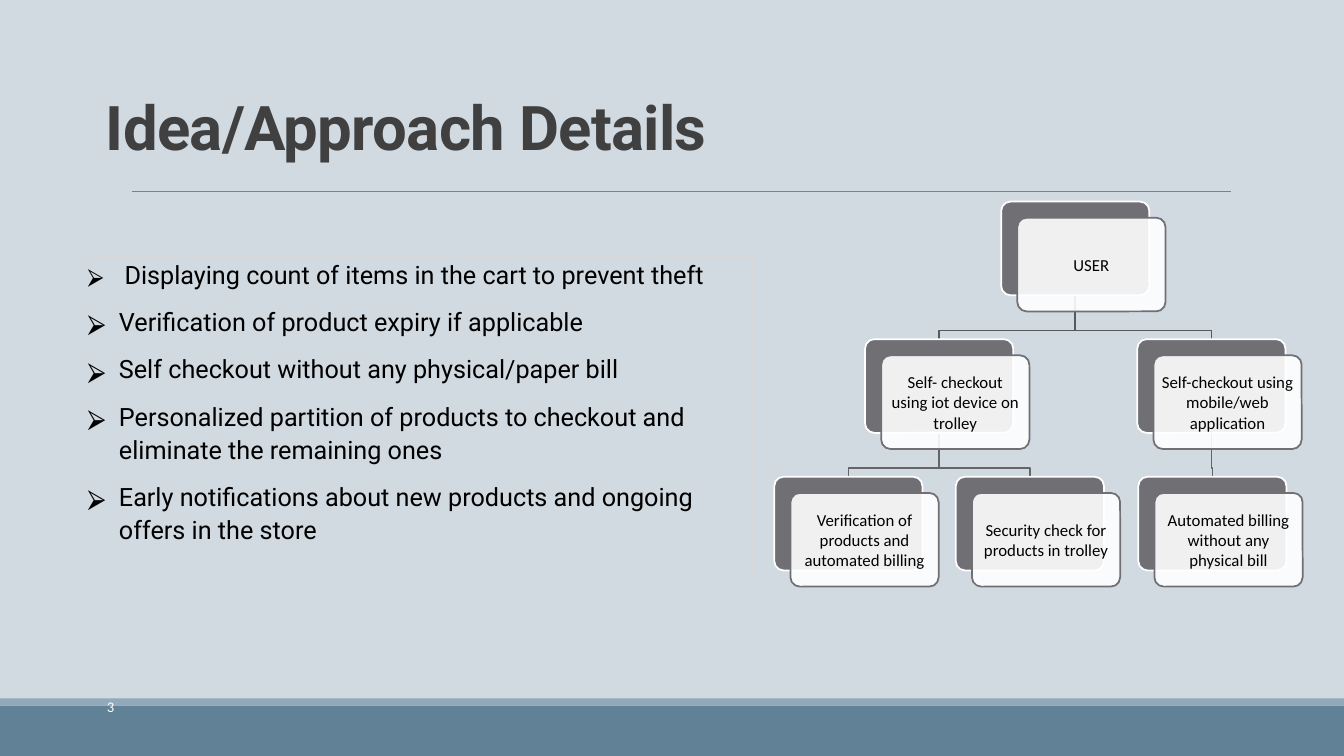
from dataclasses import dataclass

from lxml.etree import SubElement
from pptx import Presentation
from pptx.dml.color import RGBColor
from pptx.enum.shapes import MSO_CONNECTOR as Connector, MSO_SHAPE as Shape
from pptx.enum.text import MSO_ANCHOR as Anchor, MSO_AUTO_SIZE as AutoSize, PP_ALIGN as Align
from pptx.oxml.ns import qn
from pptx.util import Inches, Pt


@dataclass(frozen=True)
class Theme:
    background: str = "D1D9E1"
    band: str = "618197"
    band_edge: str = "92A9B9"
    rule: str = "808080"
    title: str = "404040"
    text: str = "000000"
    white: str = "FFFFFF"
    list_border: str = "D9D9D9"
    card: str = "6F6F74"
    upper_link: str = "59595D"
    lower_link: str = "656569"
    heading_font: str = "Roboto"
    card_font: str = "Calibri"
    title_size: float = 44
    list_size: float = 18
    indent_size: float = 16
    card_size: float = 12
    number_size: float = 10.5


@dataclass(frozen=True)
class Card:
    label: str
    left: float
    tier: int
    children: tuple = ()


THEME = Theme()
CARD_WIDTH, CARD_HEIGHT = 1.47, 0.93
CARD_OFFSET = 0.16
FIRST_TIER, TIER_STEP = 2, 1.365
LINK_DROP = 0.35

POINTS = (
    "Displaying count of items in the cart to prevent theft",
    "Verification of product expiry if applicable",
    "Self checkout without any physical/paper bill",
    "Personalized partition of products to checkout and eliminate the remaining ones",
    "Early notifications about new products and ongoing offers in the store",
)

USER = Card("USER", 9.93, 0, (
    Card("Self- checkout using iot device on trolley", 8.58, 1, (
        Card("Verification of products and automated billing", 7.68, 2),
        Card("Security check for products in trolley", 9.48, 2),
    )),
    Card("Self-checkout using mobile/web application", 11.28, 1, (
        Card("Automated billing without any physical bill", 11.29, 2),
    )),
))


def rgb(color):
    return RGBColor.from_string(color)


def place(shape, left, top, width, height):
    shape.left, shape.top = Inches(left), Inches(top)
    shape.width, shape.height = Inches(width), Inches(height)


def set_font(font, name, size, color, bold=False):
    font.name, font.size, font.bold = name, Pt(size), bold
    font.color.rgb = rgb(color)


def set_frame(frame, inset=0, anchor=Anchor.TOP):
    frame.word_wrap = True
    frame.auto_size = AutoSize.NONE
    frame.vertical_anchor = anchor
    frame.margin_left = frame.margin_right = Inches(inset)
    frame.margin_top = frame.margin_bottom = Inches(inset)


def set_line(line, color, width):
    line.color.rgb = rgb(color)
    line.width = Pt(width)


def add_box(shapes, kind, bounds, fill, border=None):
    box = shapes.add_shape(kind, *map(Inches, bounds))
    box.shadow.inherit = False
    box.fill.solid()
    box.fill.fore_color.rgb = rgb(fill)
    if border:
        set_line(box.line, border, 1.25)
    else:
        box.line.fill.background()
    return box


def add_rule(shapes):
    rule = shapes.add_connector(
        Connector.STRAIGHT, Inches(1.31), Inches(1.9), Inches(12.21), Inches(1.9))
    set_line(rule.line, THEME.rule, 0.5)
    SubElement(rule._element.spPr, qn("a:effectLst"))


def fill_title(title):
    place(title, 1.05, 0.96, 6.05, 0.67)
    title.text = "Idea/Approach Details"
    set_frame(title.text_frame, anchor=Anchor.BOTTOM)
    heading = title.text_frame.paragraphs[0]
    heading.alignment = Align.LEFT
    heading.line_spacing = 0.9
    set_font(heading.font, THEME.heading_font, THEME.title_size, THEME.title, True)
    heading.runs[0].font._element.set("spc", "-50")


def add_bullet(paragraph):
    properties = paragraph._p.get_or_add_pPr()
    properties.set("marL", str(Inches(0.31)))
    properties.set("indent", str(Inches(-0.31)))
    color = SubElement(properties, qn("a:buClr"))
    SubElement(color, qn("a:srgbClr"), val=THEME.text)
    SubElement(properties, qn("a:buFont"), typeface="Noto Sans Symbols")
    SubElement(properties, qn("a:buChar"), char="⮚")


def fill_points(body):
    place(body, 0.87, 2.54, 6.59, 3.15)
    set_line(body.line, THEME.list_border, 0.75)
    frame = body.text_frame
    set_frame(frame)
    for index, point in enumerate(POINTS):
        paragraph = frame.add_paragraph() if index else frame.paragraphs[0]
        paragraph.line_spacing = 1.1
        paragraph.space_before = Pt(10)
        add_bullet(paragraph)
        if index == 0:
            lead = paragraph.add_run()
            lead.text = " "
            set_font(lead.font, THEME.heading_font, THEME.indent_size, THEME.text, True)
        run = paragraph.add_run()
        run.text = point
        set_font(run.font, THEME.heading_font, THEME.list_size, THEME.text)


def add_page_number(shapes):
    number = shapes.add_textbox(*map(Inches, (1.06, 6.92, 0.57, 0.27)))
    set_frame(number.text_frame)
    paragraph = number.text_frame.paragraphs[0]
    paragraph.text = "3"
    set_font(paragraph.font, THEME.card_font, THEME.number_size, THEME.white)


def card_top(card):
    return FIRST_TIER + card.tier * TIER_STEP


def add_links(shapes, parent):
    start_x = parent.left + CARD_WIDTH / 2
    start_y = card_top(parent) + CARD_HEIGHT
    bend_y = start_y + LINK_DROP
    for child in parent.children:
        end_x = child.left + CARD_WIDTH / 2
        corners = ((start_x, bend_y), (end_x, bend_y), (end_x, card_top(child)))
        outline = shapes.build_freeform(Inches(start_x), Inches(start_y))
        outline.add_line_segments(
            [(Inches(x), Inches(y)) for x, y in corners], close=False)
        link = outline.convert_to_shape()
        link.shadow.inherit = False
        link.fill.background()
        set_line(link.line, THEME.lower_link if parent.tier else THEME.upper_link, 1.25)
        add_links(shapes, child)


def add_cards(shapes, card):
    left, top = card.left, card_top(card)
    back = add_box(shapes, Shape.ROUNDED_RECTANGLE,
                   (left, top, CARD_WIDTH, CARD_HEIGHT), THEME.card, THEME.white)
    front = add_box(shapes, Shape.ROUNDED_RECTANGLE,
                    (left + CARD_OFFSET, top + CARD_OFFSET, CARD_WIDTH, CARD_HEIGHT),
                    THEME.white, THEME.card)
    back.adjustments[0] = front.adjustments[0] = 0.1
    front_color = front._element.spPr.find(qn("a:solidFill")).find(qn("a:srgbClr"))
    SubElement(front_color, qn("a:alpha"), val="90000")
    set_frame(front.text_frame, 0.05, Anchor.MIDDLE)
    label = front.text_frame.paragraphs[0]
    label.text = card.label
    label.alignment = Align.CENTER
    set_font(label.font, THEME.card_font, THEME.card_size, THEME.text)
    for child in card.children:
        add_cards(shapes, child)


def main():
    deck = Presentation()
    deck.slide_width, deck.slide_height = Inches(13.33), Inches(7.5)
    slide = deck.slides.add_slide(deck.slide_layouts[1])
    slide.background.fill.solid()
    slide.background.fill.fore_color.rgb = rgb(THEME.background)
    shapes = slide.shapes
    add_box(shapes, Shape.RECTANGLE, (0, 7, 13.33, 0.5), THEME.band)
    add_box(shapes, Shape.RECTANGLE, (0, 6.93, 13.33, 0.07), THEME.band_edge)
    add_rule(shapes)
    fill_title(shapes.title)
    fill_points(slide.placeholders[1])
    add_page_number(shapes)
    add_links(shapes, USER)
    add_cards(shapes, USER)
    deck.save("out.pptx")


if __name__ == "__main__":
    main()
